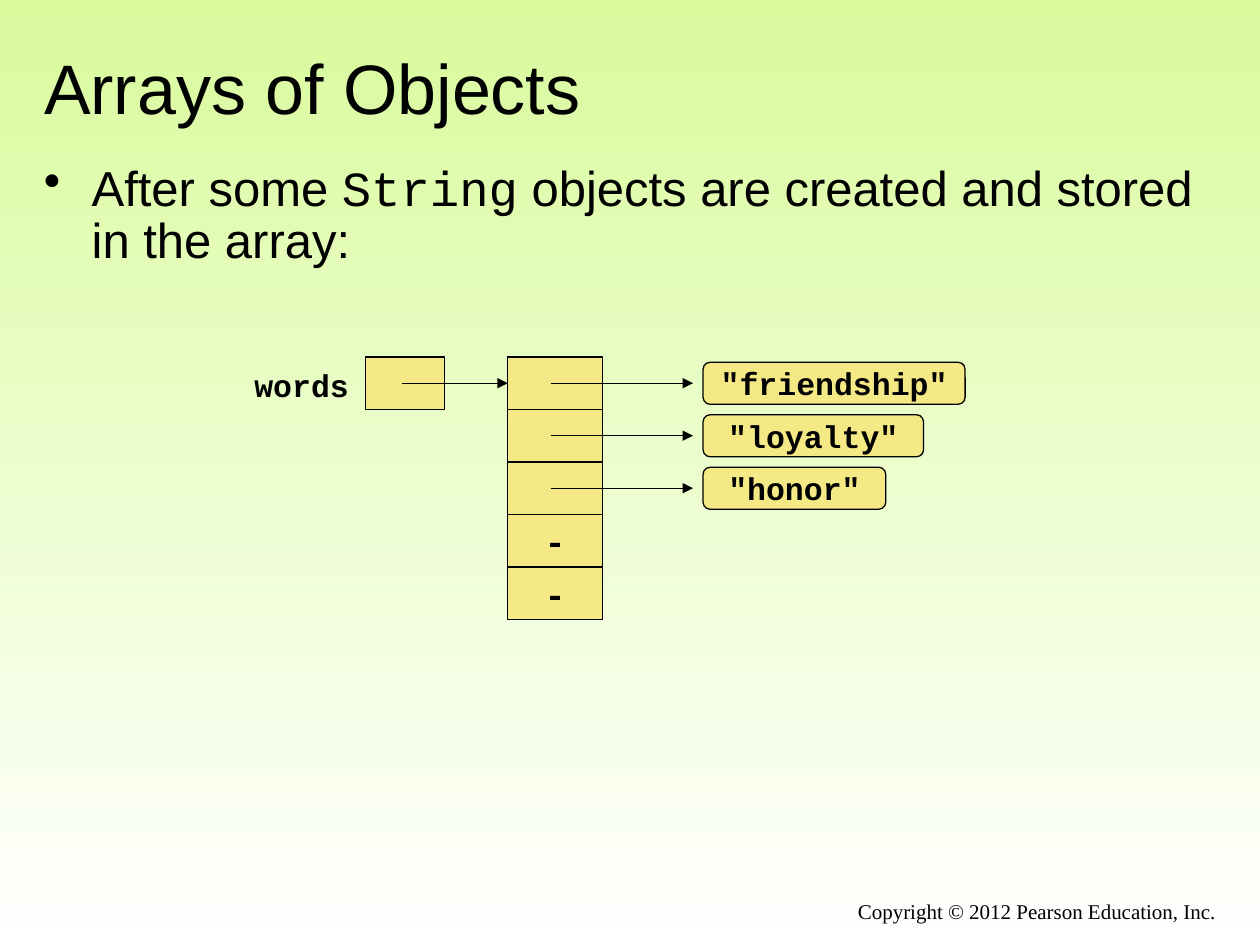
import pptx
import pptx.util
import pptx.dml.color
import pptx.enum.shapes
import pptx.enum.text
import lxml.etree

COLORS = {"ink": "000000", "cell": "F5E985", "top": "D9FB9D", "bottom": "FFFFFF"}
SHAPES = pptx.enum.shapes.MSO_SHAPE
ALIGN = pptx.enum.text.PP_ALIGN
MIDDLE = pptx.enum.text.MSO_ANCHOR.MIDDLE
INK = pptx.dml.color.RGBColor.from_string(COLORS["ink"])

deck = pptx.Presentation()
deck.slide_width = pptx.util.Inches(10)
deck.slide_height = pptx.util.Inches(7.5)
W, H = deck.slide_width, deck.slide_height
slide = deck.slides.add_slide(deck.slide_layouts[5])

background = slide.background.fill
background.gradient()
background.gradient_angle = 270
for stop, name in zip(background.gradient_stops, ("top", "bottom")):
    stop.color.rgb = pptx.dml.color.RGBColor.from_string(COLORS[name])


def write(holder, pieces, size, align=ALIGN.LEFT, bold=False, wrap=True):
    frame = holder.text_frame
    frame.word_wrap = wrap
    paragraph = frame.paragraphs[0]
    paragraph.alignment = align
    for text, font in pieces:
        run = paragraph.add_run()
        run.text = text
        run.font.name = font
        run.font.size = pptx.util.Pt(size)
        run.font.bold = bold
        run.font.color.rgb = INK
    return paragraph


def outline(part):
    part.line.color.rgb = INK
    part.line.width = pptx.util.Pt(0.75)


title = slide.shapes.title
title.left, title.top = int(0.025 * W), int(0.04 * H)
title.width, title.height = int(0.95 * W), int(0.104 * H)
title.text_frame.vertical_anchor = MIDDLE
write(title, [("Arrays of Objects", "Arial")], 40)

body = slide.shapes.add_textbox(title.left, int(H / 6), title.width, int(0.156 * H))
statement = body.text_frame.paragraphs[0]
statement.line_spacing = 0.9
properties = statement._p.get_or_add_pPr()
properties.set("marL", str(pptx.util.Inches(0.38)))
properties.set("indent", str(-pptx.util.Inches(0.38)))
bullet = lxml.etree.SubElement(properties, pptx.oxml.ns.qn("a:buChar"))
bullet.set("char", "•")
write(body, [("After some ", "Arial"), ("String", "Courier New"),
             (" objects are created and stored in the array:", "Arial")], 28)

row = H / 18
array_top = 6.8 * row
array_left, array_width = 0.403 * W, 0.075 * W
label_left, label_height = 0.558 * W, 0.8 * row

words_label = slide.shapes.add_textbox(
    int(0.192 * W), int(array_top + 0.05 * row), int(0.095 * W), int(0.96 * row))
write(words_label, [("words", "Courier New")], 18, bold=True, wrap=False)

boxes = [(SHAPES.RECTANGLE, 0.29 * W, array_top, 0.063 * W, row, "", 18)]
for index, text in enumerate(["", "", "", "-", "-"]):
    boxes.append((SHAPES.RECTANGLE, array_left, array_top + index * row,
                  array_width, row, text, 20))
for index, (text, share) in enumerate(
        [('"friendship"', 0.208), ('"loyalty"', 0.175), ('"honor"', 0.145)]):
    boxes.append((SHAPES.ROUNDED_RECTANGLE, label_left, array_top + (index + 0.1) * row,
                  share * W, label_height, text, 18))

drawn = []
for kind, left, top, width, height, text, size in boxes:
    box = slide.shapes.add_shape(kind, int(left), int(top), int(width), int(height))
    box.shadow.inherit = False
    box.fill.solid()
    box.fill.fore_color.rgb = pptx.dml.color.RGBColor.from_string(COLORS["cell"])
    outline(box)
    if text:
        box.text_frame.vertical_anchor = MIDDLE
        write(box, [(text, "Courier New")], size, ALIGN.CENTER, bold=True, wrap=False)
    drawn.append(box)
first_cell = drawn[1]

arrows = [(0.319 * W, array_left, 0)]
arrows += [(0.437 * W, 0.55 * W, index) for index in range(3)]
for start, end, index in arrows:
    y = int(array_top + (index + 0.5) * row)
    arrow = slide.shapes.add_connector(
        pptx.enum.shapes.MSO_CONNECTOR.STRAIGHT, int(start), y, int(end), y)
    outline(arrow)
    lxml.etree.SubElement(
        arrow.line._get_or_add_ln(), pptx.oxml.ns.qn("a:tailEnd")).set("type", "triangle")
    lxml.etree.SubElement(arrow._element.spPr, pptx.oxml.ns.qn("a:effectLst"))
    if end == array_left:
        arrow.end_connect(first_cell, 1)

copyright_line = slide.shapes.add_textbox(
    int(0.367 * W), int(0.944 * H), int(0.608 * W), int(0.045 * H))
write(copyright_line, [("Copyright © 2012 Pearson Education, Inc.", "Times New Roman")],
      12, ALIGN.RIGHT)

deck.save("out.pptx")
